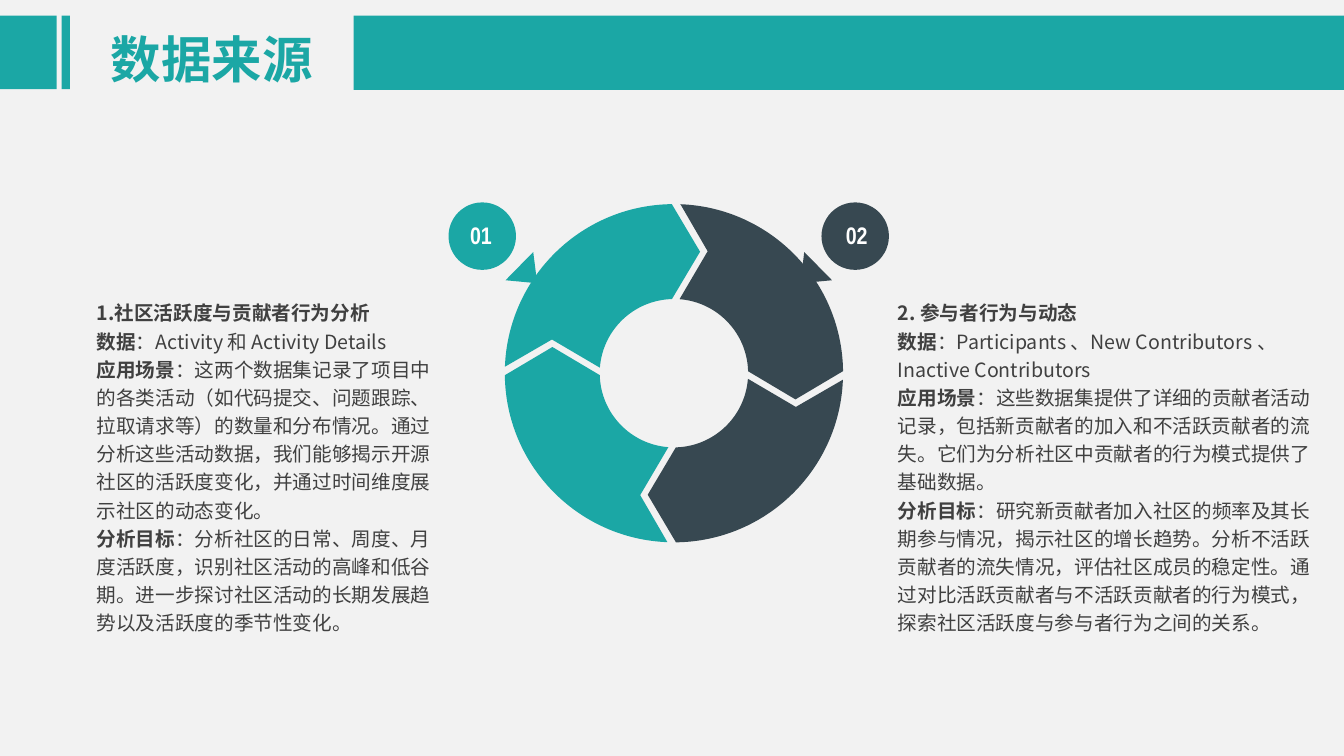
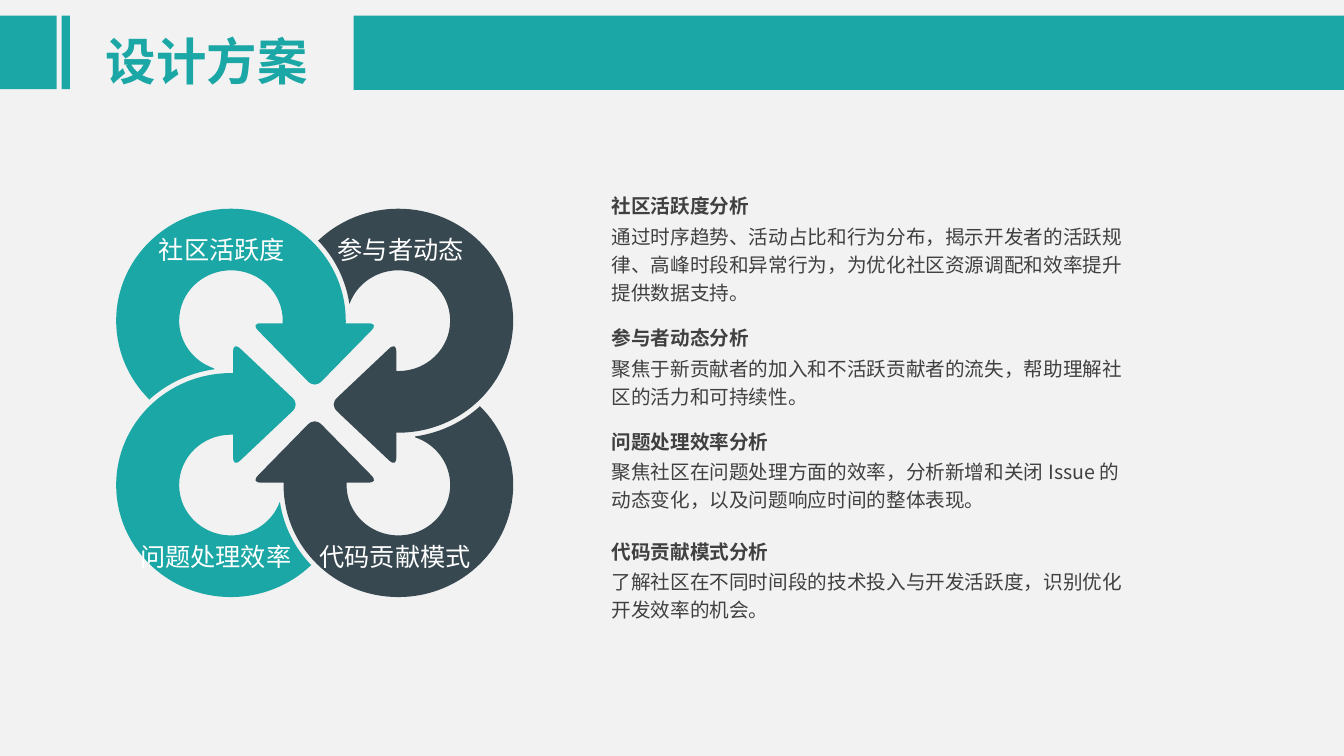
from math import ceil, cos, dist, floor, radians, sin, tan

from lxml import etree
from pptx import Presentation
from pptx.dml.color import RGBColor
from pptx.enum.shapes import MSO_SHAPE
from pptx.enum.text import MSO_ANCHOR, PP_ALIGN
from pptx.oxml.ns import qn
from pptx.util import Pt

TEAL = RGBColor(0x1B, 0xA7, 0xA5)
SLATE = RGBColor(0x37, 0x48, 0x51)
INK = RGBColor(0x40, 0x40, 0x40)
WHITE = RGBColor(0xFF, 0xFF, 0xFF)
PAPER = RGBColor(0xF2, 0xF2, 0xF2)
CJK_FONT = "Noto Sans CJK SC"
NUMBER_FONT = "Arial Narrow"
WIDTH, HEIGHT = 960, 540

# An outline is a list of steps: (point,) is a line, (control, control, point) a curve.


def polyline(*points):
    return [(point,) for point in points]


def arc(cx, cy, rx, ry, start, end):
    """Steps along an ellipse, one curve per quadrant; degrees run clockwise from the right."""
    low, high = sorted((start, end))
    stops = [low, *range(90 * (floor(low / 90) + 1), 90 * ceil(high / 90), 90), high]
    if start > end:
        stops.reverse()

    def point(angle, pull=0.0):
        c, s = cos(radians(angle)), sin(radians(angle))
        return cx + rx * (c - pull * s), cy + ry * (s + pull * c)

    steps = [(point(start),)]
    for a, b in zip(stops, stops[1:]):
        pull = 4 / 3 * tan(radians(b - a) / 4)
        steps.append((point(a, pull), point(b, -pull), point(b)))
    return steps


def rounded(corners, cut=7.6):
    """Polygon with every corner replaced by one curve."""
    def toward(a, b, t):
        return tuple(p + (q - p) * t for p, q in zip(a, b))

    steps = []
    for i, corner in enumerate(corners):
        before, after = corners[i - 1], corners[(i + 1) % len(corners)]
        first = toward(corner, before, cut / dist(corner, before))
        last = toward(corner, after, cut / dist(corner, after))
        steps += [(first,), (toward(first, corner, 2 / 3), toward(last, corner, 2 / 3), last)]
    return steps


def placed(steps, cx, cy, flip_x=1, flip_y=1):
    """Move an outline to a centre, mirrored on request."""
    return [tuple((cx + flip_x * x, cy + flip_y * y) for x, y in step) for step in steps]


class Deck:
    def __init__(self):
        self.prs = Presentation()
        self.prs.slide_width, self.prs.slide_height = Pt(WIDTH), Pt(HEIGHT)
        self.s = None

    def slide(self, title, left, top):
        self.s = self.prs.slides.add_slide(self.prs.slide_layouts[6])
        for x, y, w, h, color in ((0, 0, WIDTH, HEIGHT, PAPER),
                                  (0, 11.2, 40.5, 52.4, TEAL),
                                  (44, 11.2, 6, 52.4, TEAL),
                                  (252.7, 11.2, WIDTH - 252.7, 53, TEAL)):
            self.shape(MSO_SHAPE.RECTANGLE, x, y, w, h, color)
        self.line_of_text(title, left, top, 165, 54, 36, TEAL, bold=True)

    def paint(self, sp, color):
        sp.shadow.inherit = False
        sp.fill.solid()
        sp.fill.fore_color.rgb = color
        sp.line.fill.background()
        return sp

    def shape(self, kind, x, y, w, h, color):
        return self.paint(self.s.shapes.add_shape(kind, Pt(x), Pt(y), Pt(w), Pt(h)), color)

    def outline(self, steps, color):
        start, *rest = [(Pt(x), Pt(y)) for step in steps for x, y in step]
        builder = self.s.shapes.build_freeform(*start)
        builder.add_line_segments(rest, close=True)
        sp = self.paint(builder.convert_to_shape(), color)
        lines = iter(list(sp._element.iter(qn("a:lnTo"))))
        for step in steps[1:]:
            line, *others = [next(lines) for _ in step]
            if others:  # controls and end point become one curve
                line.tag = qn("a:cubicBezTo")
                for other in others:
                    line.append(other[0])
                    other.getparent().remove(other)

    def frame(self, sp, anchor):
        tf = sp.text_frame
        tf.word_wrap = True
        tf.vertical_anchor = anchor
        tf.margin_left = tf.margin_right = tf.margin_top = tf.margin_bottom = 0
        return tf

    def font(self, p, size, color, name=CJK_FONT, bold=None):
        p.font.size, p.font.bold, p.font.name = Pt(size), bold, name
        p.font.color.rgb = color
        props = p._p.pPr.find(qn("a:defRPr"))
        etree.SubElement(props, qn("a:ea"), typeface=name)

    def text_box(self, x, y, w, h, anchor=MSO_ANCHOR.TOP):
        return self.frame(self.s.shapes.add_textbox(Pt(x), Pt(y), Pt(w), Pt(h)), anchor)

    def line_of_text(self, text, x, y, w, h, size, color, name=CJK_FONT, bold=None, align=None):
        p = self.text_box(x, y, w, h, MSO_ANCHOR.MIDDLE).paragraphs[0]
        p.text, p.alignment = text, align
        self.font(p, size, color, name, bold)

    def body(self, paragraphs, x, y, w, h):
        """Each paragraph is a pair: bold lead, plain rest."""
        tf = self.text_box(x, y, w, h)
        for i, parts in enumerate(paragraphs):
            p = tf.paragraphs[0] if i == 0 else tf.add_paragraph()
            p.line_spacing = Pt(20.15)
            self.font(p, 14, INK)
            for text, bold in zip(parts, (True, False)):
                if text:
                    r = p.add_run()
                    r.text, r.font.bold = text, bold


def data_sources(deck):
    deck.slide("数据来源", 79.2, 15)
    deck.body([
        ("1.社区活跃度与贡献者行为分析", ""),
        ("数据", "：Activity 和 Activity Details"),
        ("应用场景", "：这两个数据集记录了项目中的各类活动（如代码提交、问题跟踪、拉取请求等）的数量和分布情况。"
                 "通过分析这些活动数据，我们能够揭示开源社区的活跃度变化，并通过时间维度展示社区的动态变化。"),
        ("分析目标", "：分析社区的日常、周度、月度活跃度，识别社区活动的高峰和低谷期。"
                 "进一步探讨社区活动的长期发展趋势以及活跃度的季节性变化。"),
    ], 69, 211.9, 251.3, 244)
    deck.body([
        ("2. 参与者行为与动态", ""),
        ("数据", "：Participants 、New Contributors 、Inactive Contributors"),
        ("应用场景", "：这些数据集提供了详细的贡献者活动记录，包括新贡献者的加入和不活跃贡献者的流失。"
                 "它们为分析社区中贡献者的行为模式提供了基础数据。"),
        ("分析目标", "：研究新贡献者加入社区的频率及其长期参与情况，揭示社区的增长趋势。"
                 "分析不活跃贡献者的流失情况，评估社区成员的稳定性。"
                 "通过对比活跃贡献者与不活跃贡献者的行为模式，探索社区活跃度与参与者行为之间的关系。"),
    ], 641.3, 211.9, 299, 244)

    middle, radius = 477.7, 24.1
    pointer = polyline((96.8, 180), (116.6, 200.2), (94, 202.3))
    for text, side, color in (("01", -1, TEAL), ("02", 1, SLATE)):
        cx = middle + side * 133.2
        deck.shape(MSO_SHAPE.OVAL, cx - radius, 144.6, 2 * radius, 2 * radius, color)
        deck.outline(placed(pointer, middle, 0, flip_x=side), color)
        deck.line_of_text(text, cx + side - 23.4, 150, 46.8, 36, 17.1, WHITE,
                          NUMBER_FONT, True, PP_ALIGN.CENTER)

    segment = [*polyline((18.7, -86.8)), *arc(0, 0, 120.8, 120.8, 269.3, 182.2),
               *polyline((-87.1, -24.1)), *arc(0, 0, 53, 53, 184.3, 268.5)]
    for color in (TEAL, SLATE, SLATE, TEAL):
        deck.outline(placed(segment, 481.4, 266.6), color)
        segment = [tuple((-y, x) for x, y in step) for step in segment]  # quarter turn


def design_plan(deck):
    deck.slide("设计方案", 75.6, 16.4)
    sections = (
        (135.4, "社区活跃度分析", "通过时序趋势、活动占比和行为分布，揭示开发者的活跃规律、高峰时段和异常行为，"
                           "为优化社区资源调配和效率提升提供数据支持。"),
        (229.7, "参与者动态分析", "聚焦于新贡献者的加入和不活跃贡献者的流失，帮助理解社区的活力和可持续性。"),
        (303.8, "问题处理效率分析", "聚焦社区在问题处理方面的效率，分析新增和关闭 Issue 的动态变化，"
                            "以及问题响应时间的整体表现。"),
        (382.3, "代码贡献模式分析", "了解社区在不同时间段的技术投入与开发活跃度，识别优化开发效率的机会。"),
    )
    for top, heading, text in sections:
        deck.body([("", text)], 436.8, top + 21.6, 366.5, 34.6)
        deck.body([(heading, "")], 436.8, top, 212.4, 17.3)

    # Outlines are measured from the middle of the four loops.
    dx, dy = 59.8, 58.7
    outer, inner, gap = (82, 80), (37, 36), (85.5, 83.5)
    upper_loop = [*arc(-dx, -dy, *outer, 135, 374.6),
                  *polyline((-16.6, -38.5), (-16.6, -47.2)),
                  *arc(-dx, -dy, *inner, 378, 109), *arc(-dx, dy, *gap, 262, 227)]
    lower_loop = [*arc(-dx, dy, *inner, 20, 288), *arc(-dx, dy, *outer, 278, 406),
                  *arc(dx, dy, *gap, 136.6, 171.6)]
    lower_loop = [*arc(-dx, dy, *inner, 20, 288), *arc(-dx, dy, *outer, 278, 46),
                  *arc(dx, dy, *gap, 136.6, 171.6)]
    down_arrow = rounded([(-45.5, -56.9), (45.5, -56.9), (0, -10.4)])
    right_arrow = rounded([(-58.3, -43.6), (-10.8, 1.2), (-58.3, 46)])
    for color, side in ((TEAL, 1), (SLATE, -1)):
        for steps, flip_x, flip_y in ((lower_loop, side, side), (down_arrow, 1, side),
                                      (upper_loop, side, side), (right_arrow, side, 1)):
            deck.outline(placed(steps, 224.8, 287.8, flip_x, flip_y), color)

    for text, left, top in (("社区活跃度", 113.5, 163.3), ("参与者动态", 241.2, 163.3),
                            ("问题处理效率", 100.1, 382.7), ("代码贡献模式", 228.2, 382.7)):
        deck.line_of_text(text, left, top, 120, 30, 18, WHITE)


def main():
    deck = Deck()
    data_sources(deck)
    design_plan(deck)
    deck.prs.save("out.pptx")


if __name__ == "__main__":
    main()
